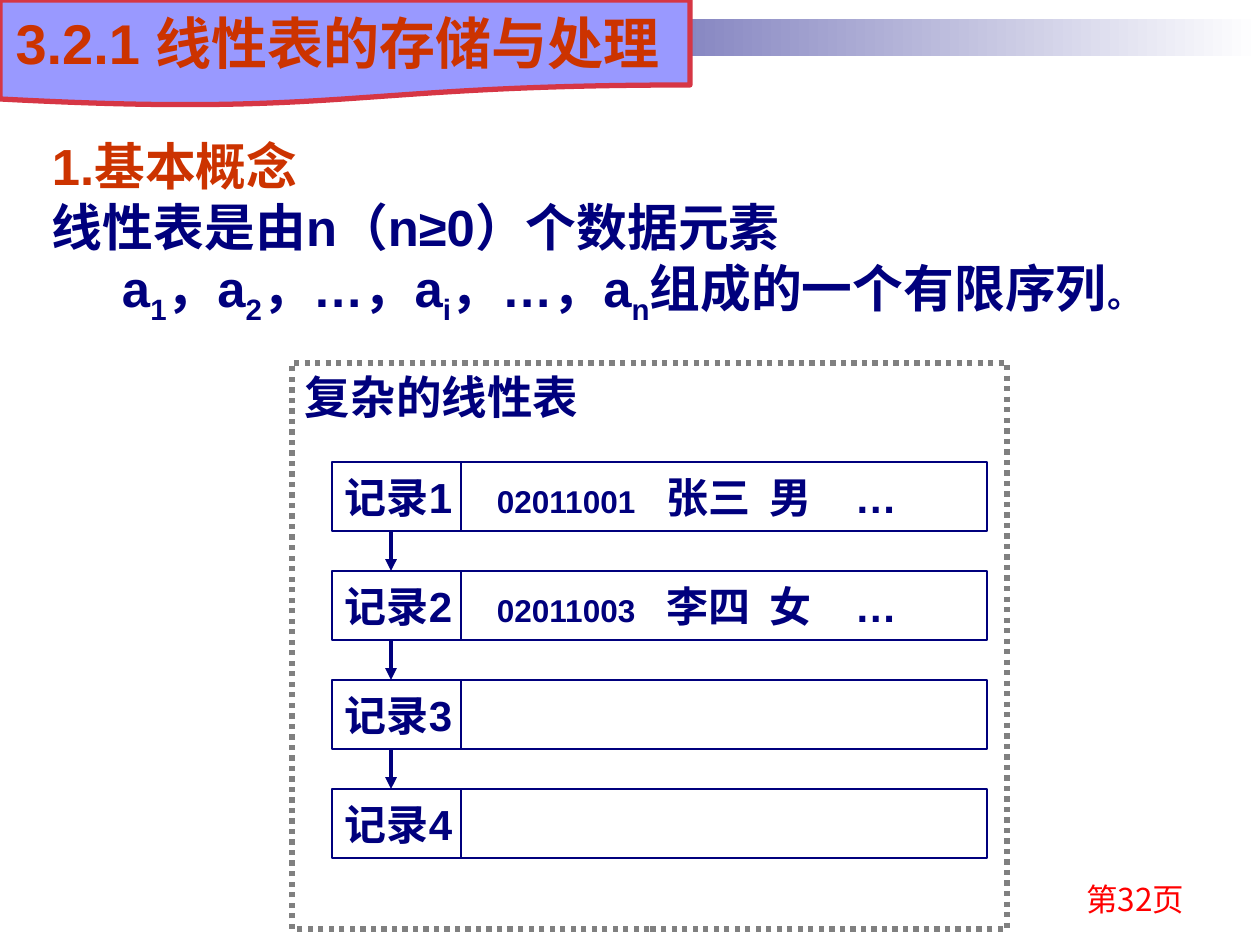
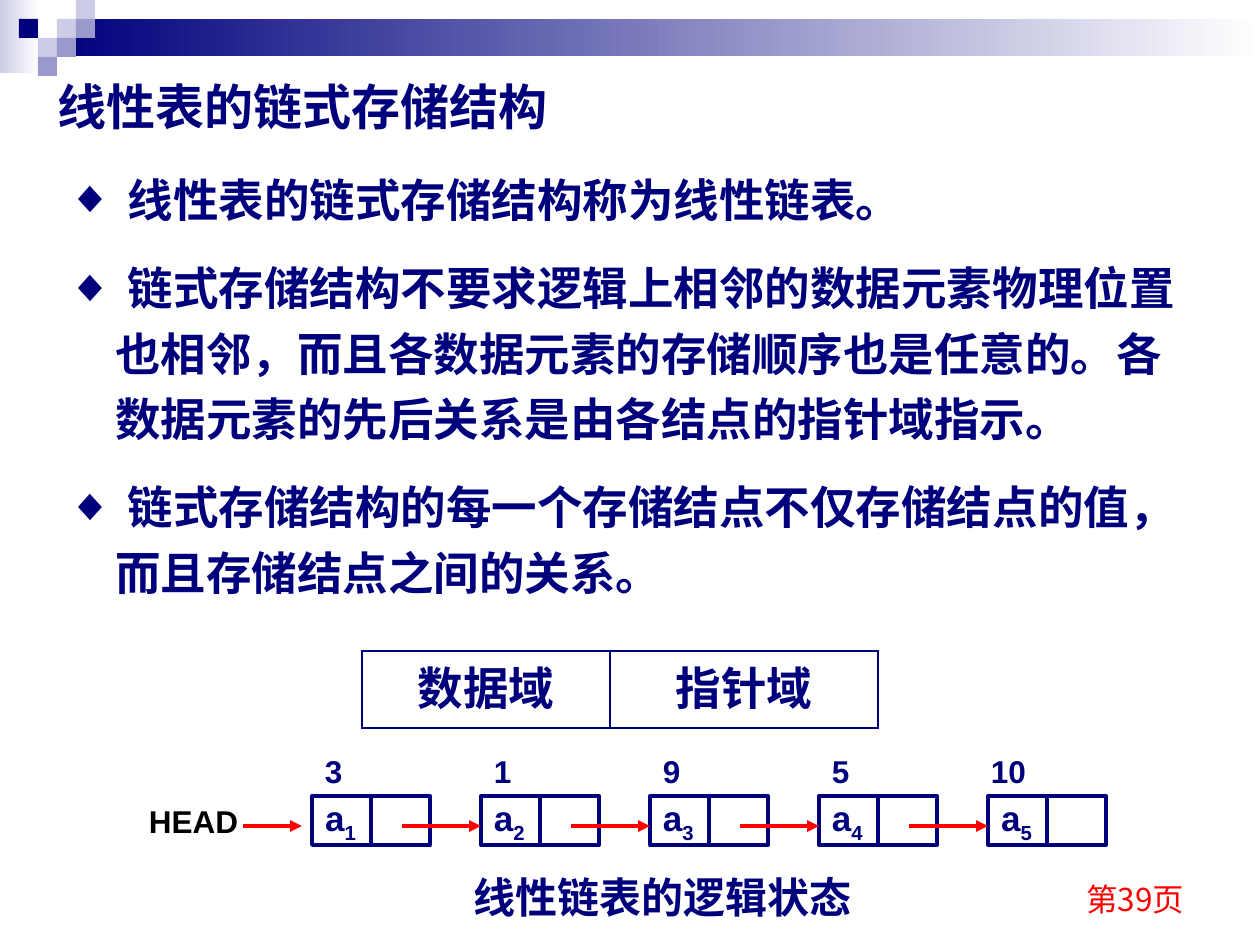
from dataclasses import dataclass

from lxml.etree import SubElement
from pptx import Presentation
from pptx.dml.color import RGBColor
from pptx.enum.dml import MSO_LINE_DASH_STYLE as Dash
from pptx.enum.shapes import MSO_CONNECTOR, MSO_SHAPE as Preset
from pptx.enum.text import MSO_ANCHOR as Anchor, PP_ALIGN as Align
from pptx.oxml.ns import qn
from pptx.util import Pt

EMU_PER_PX = 914400 / 126
SLIDE_SIZE = 1260, 945


@dataclass(frozen=True)
class Theme:
    navy: str = "00007D"
    lavender: str = "CCCCE6"
    violet: str = "9999CC"
    white: str = "FFFFFF"
    black: str = "000000"
    banner: str = "9999FF"
    banner_edge: str = "D63645"
    heading: str = "CC3300"
    red: str = "FF0000"
    grey: str = "808080"
    font: str = "Arial"
    footer_font: str = "Noto Sans CJK SC"
    banner_size: int = 32
    lead_size: int = 29
    title_size: int = 28
    body_size: int = 26
    record_size: int = 24
    node_size: int = 20
    label_size: int = 18
    thin: float = 1
    medium: float = 2.25
    thick: float = 3


THEME = Theme()
SUBSCRIPT = {"baseline": -25000}


def px(value):
    return round(value * EMU_PER_PX)


def rgb(value):
    return RGBColor.from_string(value)


def apply_format(target, values):
    for name, value in values.items():
        setattr(target, name, value)


def add_run(paragraph, text, size, color=THEME.navy, bold=True,
            font=THEME.font, baseline=None):
    run = paragraph.add_run()
    run.text = text
    apply_format(run.font, {"size": Pt(size), "bold": bold, "name": font})
    run.font.color.rgb = rgb(color)
    properties = run._r.get_or_add_rPr()
    SubElement(properties, qn("a:ea"), typeface=font)
    if baseline:
        properties.set("baseline", str(baseline))


def indent(paragraph, left, first):
    properties = paragraph._p.get_or_add_pPr()
    properties.set("marL", str(px(left)))
    properties.set("indent", str(px(first)))
    return properties


def add_bullet(properties, symbol):
    color = SubElement(properties, qn("a:buClr"))
    SubElement(color, qn("a:srgbClr"), val=THEME.navy)
    SubElement(properties, qn("a:buFont"), typeface=THEME.font)
    SubElement(properties, qn("a:buChar"), char=symbol)


def add_tab_stops(paragraph, stops):
    tabs = SubElement(paragraph._p.get_or_add_pPr(), qn("a:tabLst"))
    for stop in stops:
        SubElement(tabs, qn("a:tab"), pos=str(px(stop)), algn="l")


def set_frame(shape, anchor=Anchor.TOP, wrap=True, right_margin=13):
    frame = shape.text_frame
    apply_format(frame, {
        "word_wrap": wrap, "vertical_anchor": anchor,
        "margin_left": px(13), "margin_right": px(right_margin),
        "margin_top": px(6), "margin_bottom": px(6)})
    return frame


def add_text(slide, box, text="", size=THEME.label_size, align=Align.LEFT,
             anchor=Anchor.TOP, **run_format):
    """Add a text box; with no text, its frame is left to the caller to fill."""
    frame = set_frame(slide.shapes.add_textbox(*map(px, box)), anchor)
    if text:
        frame.paragraphs[0].alignment = align
        add_run(frame.paragraphs[0], text, size, **run_format)
    return frame


def add_box(slide, box, preset=Preset.RECTANGLE, fill=None, edge=None, width=THEME.thin):
    shape = slide.shapes.add_shape(preset, *map(px, box))
    shape.shadow.inherit = False
    if fill:
        shape.fill.solid()
        shape.fill.fore_color.rgb = rgb(fill)
    else:
        shape.fill.background()
    if edge:
        shape.line.color.rgb = rgb(edge)
        shape.line.width = Pt(width)
    else:
        shape.line.fill.background()
    return shape


def add_line(slide, start, end, color=THEME.navy, width=THEME.medium, arrow=False):
    line = slide.shapes.add_connector(MSO_CONNECTOR.STRAIGHT, *map(px, start + end))
    line.line.color.rgb = rgb(color)
    line.line.width = Pt(width)
    if arrow:
        SubElement(line.line._get_or_add_ln(), qn("a:tailEnd"), type="triangle")
    SubElement(line._element.spPr, qn("a:effectLst"))
    return line


def add_fade(slide, box, color):
    shape = add_box(slide, box)
    shape.fill.gradient()
    shape.fill.gradient_angle = 0
    for stop, position, shade in zip(shape.fill.gradient_stops, (0, 1), (color, THEME.white)):
        stop.position = position
        stop.color.rgb = rgb(shade)


def add_backdrop(slide, page):
    """Add the top band, its mosaic of squares and the page number."""
    add_fade(slide, (0, 0, 39, 73), THEME.lavender)
    add_fade(slide, (57, 19, 1203, 37), THEME.navy)
    side = 19
    mosaic = [(3, 1, THEME.lavender), (4, 0, THEME.lavender), (4, 1, THEME.violet),
              (2, 2, THEME.lavender), (1, 1, THEME.navy), (3, 2, THEME.violet),
              (2, 3, THEME.violet)]
    for column, row, color in mosaic:
        add_box(slide, (column * side, row * side, side, side), fill=color)
    add_text(slide, (903, 861, 294, 63), f"第{page}页", align=Align.RIGHT,
             anchor=Anchor.BOTTOM, color=THEME.red, bold=False, font=THEME.footer_font)


def add_banner(slide, box, text):
    banner = add_box(slide, box, Preset.FLOWCHART_DOCUMENT, THEME.banner,
                     THEME.banner_edge, THEME.thick)
    paragraph = set_frame(banner, Anchor.MIDDLE, wrap=False, right_margin=27).paragraphs[0]
    paragraph.alignment = Align.CENTER
    add_run(paragraph, text, THEME.banner_size, THEME.heading)


def add_definition(slide, box):
    frame = add_text(slide, box)
    sequence = [("a", {}), ("1", SUBSCRIPT), ("，a", {}), ("2", SUBSCRIPT),
                ("，…，a", {}), ("i", SUBSCRIPT), ("，…，a", {}), ("n", SUBSCRIPT),
                ("组成的一个有限序列", {}), ("。", {"size": THEME.node_size})]
    lines = [(-48, [("1.基本概念", {"color": THEME.heading})]),
             (-48, [("线性表是由n（n≥0）个数据元素", {})]),
             (22, sequence)]
    for index, (first, runs) in enumerate(lines):
        paragraph = frame.add_paragraph() if index else frame.paragraphs[0]
        indent(paragraph, 48, first)
        for text, run_format in runs:
            add_run(paragraph, text, **{"size": THEME.lead_size, **run_format})


def add_record_panel(slide, box, title, records):
    """Add a dotted panel of records chained from top to bottom."""
    left, top = box[:2]
    panel = add_box(slide, box, edge=THEME.grey, width=THEME.thick)
    panel.line.dash_style = Dash.ROUND_DOT
    heading = set_frame(panel).paragraphs[0]
    heading.alignment = Align.LEFT
    add_run(heading, title, THEME.body_size)

    x, width, height, pitch = left + 40, 655, 69, 109
    for index, fields in enumerate(records):
        y = top + 99 + index * pitch
        row = add_box(slide, (x, y, width, height), Preset.FLOWCHART_PROCESS, edge=THEME.navy)
        paragraph = set_frame(row, Anchor.MIDDLE).paragraphs[0]
        paragraph.alignment = Align.LEFT
        add_tab_stops(paragraph, (152, 322, 425, 510))
        add_run(paragraph, f"记录{index + 1}", THEME.record_size)
        if fields:
            number, *details = fields
            add_run(paragraph, f"\t{number}", THEME.label_size)
            add_run(paragraph, "\t" + "\t".join(details), THEME.record_size)
        add_line(slide, (x + 129, y), (x + 129, y + height), width=THEME.thin)
        if index:
            add_line(slide, (x + 59, y - pitch + height), (x + 59, y), arrow=True)


def add_bullets(slide, box, texts):
    frame = add_text(slide, box)
    for index, text in enumerate(texts):
        paragraph = frame.add_paragraph() if index else frame.paragraphs[0]
        spacing = {"line_spacing": 1.2, "space_after": Pt(6.5)}
        if index:
            spacing["space_before"] = Pt(6.5)
        apply_format(paragraph, spacing)
        add_bullet(indent(paragraph, 48, -48), "◆")
        add_run(paragraph, f" {text}", THEME.body_size)


def add_cell_borders(cell):
    properties = cell._tc.get_or_add_tcPr()
    for position, side in enumerate(("a:lnL", "a:lnR", "a:lnT", "a:lnB")):
        border = properties.makeelement(qn(side), {"w": str(Pt(THEME.thin))})
        properties.insert(position, border)
        fill = SubElement(border, qn("a:solidFill"))
        SubElement(fill, qn("a:srgbClr"), val=THEME.navy)


def add_field_table(slide, left, top, height, fields):
    widths = [width for _, width in fields]
    frame = slide.shapes.add_table(1, len(fields), *map(px, (left, top, sum(widths), height)))
    table = frame.table
    apply_format(table, {"first_row": False, "horz_banding": False})
    for index, (text, width) in enumerate(fields):
        table.columns[index].width = px(width)
        cell = table.cell(0, index)
        cell.fill.background()
        cell.vertical_anchor = Anchor.MIDDLE
        paragraph = cell.text_frame.paragraphs[0]
        paragraph.alignment = Align.CENTER
        add_run(paragraph, text, THEME.body_size)
        add_cell_borders(cell)


def add_node(slide, box, number):
    x, y, width, height = box
    node = add_box(slide, box, Preset.FLOWCHART_PROCESS, edge=THEME.navy, width=THEME.medium)
    paragraph = set_frame(node, Anchor.MIDDLE).paragraphs[0]
    paragraph.alignment = Align.LEFT
    add_run(paragraph, "a", THEME.node_size)
    add_run(paragraph, str(number), THEME.node_size, **SUBSCRIPT)
    middle = x + width // 2
    divider = add_line(slide, (middle, y), (middle, y + height))
    divider.begin_connect(node, 0)
    divider.end_connect(node, 2)


def add_linked_list(slide, left, top, addresses):
    """Add HEAD, the chained nodes with their addresses, and the caption."""
    first, pitch, y = left + 183, 169, top + 50
    wire = y + 30
    add_text(slide, (left, y, 129, 50), "HEAD", align=Align.CENTER, color=THEME.black)
    for index, address in enumerate(addresses):
        x = first + index * pitch
        add_node(slide, (x, y, 118, 49), index + 1)
        shift = 10 * (len(address) - 1)
        add_text(slide, (x - shift, top, 100, 50), address)
    for index in range(len(addresses) - 1):
        x = first + index * pitch
        add_line(slide, (x + 90, wire), (x + pitch, wire), THEME.red, arrow=True)
    add_line(slide, (left + 114, wire), (left + 173, wire), THEME.red, arrow=True)
    add_text(slide, (left + 332, top + 120, 427, 63), "线性链表的逻辑状态", THEME.record_size)


def build_concept_slide(slide):
    add_backdrop(slide, 32)
    add_definition(slide, (39, 129, 1191, 236))
    add_record_panel(slide, (292, 363, 715, 566), "复杂的线性表", [
        ("02011001", "张三", "男", "…"), ("02011003", "李四", "女", "…"), (), ()])
    add_banner(slide, (0, 0, 690, 106), "3.2.1 线性表的存储与处理")


def build_linked_slide(slide):
    add_backdrop(slide, 39)
    add_text(slide, (45, 45, 1134, 122), "线性表的链式存储结构", THEME.title_size,
             anchor=Anchor.MIDDLE)
    add_bullets(slide, (54, 155, 1150, 456), [
        "线性表的链式存储结构称为线性链表。",
        "链式存储结构不要求逻辑上相邻的数据元素物理位置也相邻，而且各数据元素的存储顺序也是任意的。"
        "各数据元素的先后关系是由各结点的指针域指示。",
        "链式存储结构的每一个存储结点不仅存储结点的值，而且存储结点之间的关系。"])
    add_field_table(slide, 362, 651, 77, [("数据域", 248), ("指针域", 268)])
    add_linked_list(slide, 129, 746, ["3", "1", "9", "5", "10"])


def main():
    presentation = Presentation()
    presentation.slide_width, presentation.slide_height = map(px, SLIDE_SIZE)
    blank = presentation.slide_layouts[6]
    for build in (build_concept_slide, build_linked_slide):
        build(presentation.slides.add_slide(blank))
    presentation.save("out.pptx")


if __name__ == "__main__":
    main()
